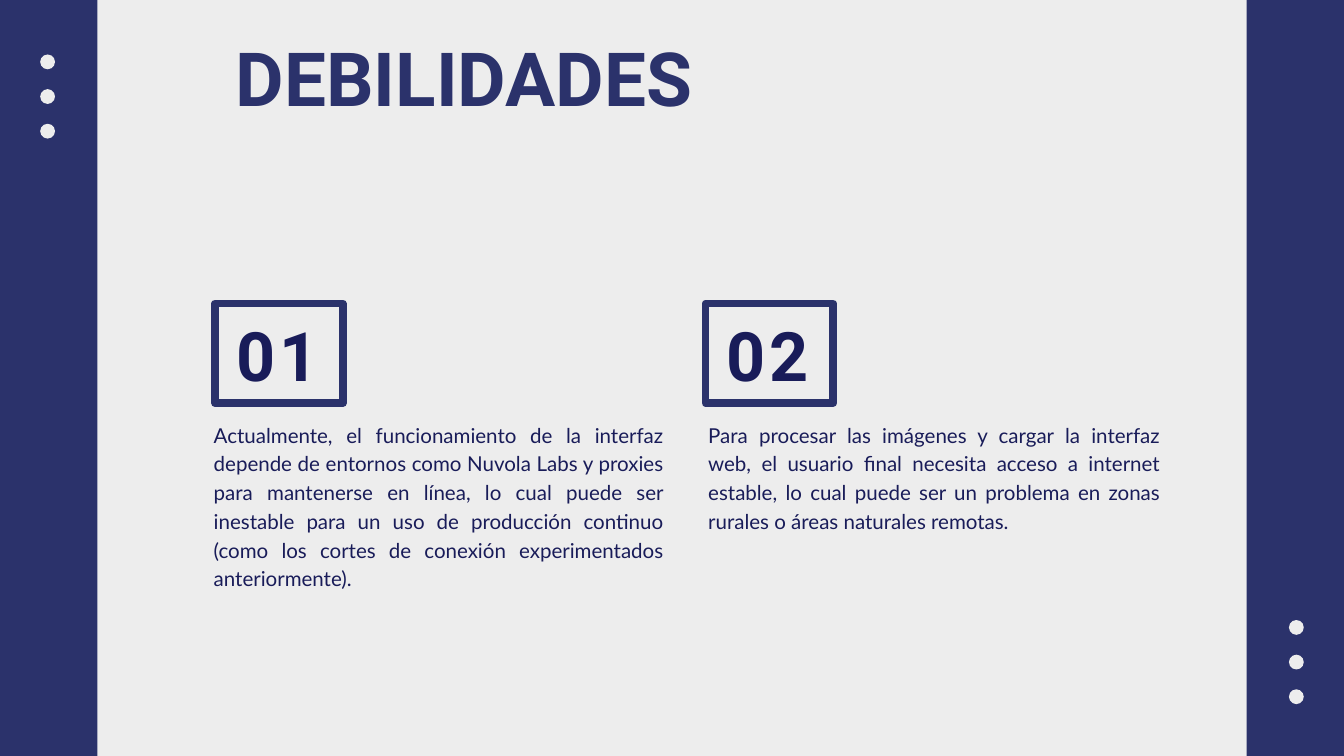
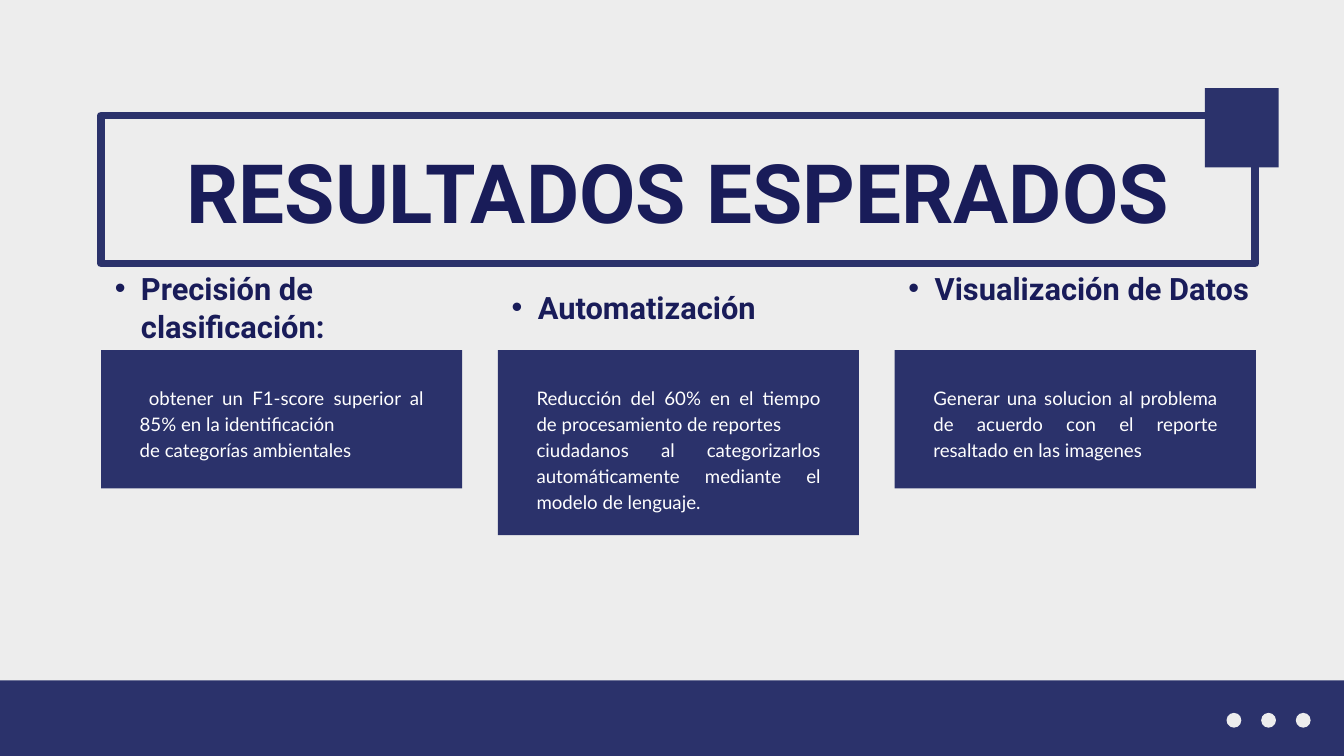
import pptx
import pptx.util
import pptx.dml.color
import pptx.enum.shapes
import pptx.enum.text
import pptx.oxml.ns
import lxml.etree

Cm = pptx.util.Cm
Pt = pptx.util.Pt
RGBColor = pptx.dml.color.RGBColor
ALIGN = pptx.enum.text.PP_ALIGN
SHAPE = pptx.enum.shapes.MSO_SHAPE

NAVY = RGBColor(0x2B, 0x32, 0x6B)
INK = RGBColor(0x19, 0x1C, 0x59)
PAPER = RGBColor(0xED, 0xED, 0xED)
WHITE = RGBColor(0xFF, 0xFF, 0xFF)

SLIDE_W, SLIDE_H = 50.8, 28.58
DOT_SIZE, DOT_STEP = 0.56, 1.31
FRAME_LINE = Pt(8.25)


def text_style(name, size, spacing, alignment, color=INK, bold=False):
    return {
        "font": {"name": name, "size": Pt(size), "bold": bold},
        "paragraph": {"alignment": alignment, "line_spacing": Pt(spacing)},
        "color": color,
    }


SIDE_TITLE = text_style("Roboto", 80, 98.4, ALIGN.CENTER, NAVY, True)
FRAMED_TITLE = text_style("Roboto", 87.7, 107.9, ALIGN.CENTER, bold=True)
NUMBER = text_style("Roboto", 73.1, 89.9, ALIGN.CENTER, bold=True)
HEADING = text_style("Roboto", 33, 40.6, ALIGN.LEFT, bold=True)
WEAKNESS = text_style("Lato", 22, 30.8, ALIGN.JUSTIFY)
CARD_TEXT = text_style("Lato", 20, 28, ALIGN.JUSTIFY, WHITE)

# Left, width and height of each explanation, then its wording
WEAKNESSES = [
    (8.08, 16.99, 6.48,
     "Actualmente, el funcionamiento de la interfaz depende de entornos como "
     "Nuvola Labs y proxies para mantenerse en línea, lo cual puede ser "
     "inestable para un uso de producción continuo (como los cortes de "
     "conexión experimentados anteriormente)."),
    (26.77, 17.07, 4.29,
     "Para procesar las imágenes y cargar la interfaz web, el usuario final "
     "necesita acceso a internet estable, lo cual puede ser un problema en "
     "zonas rurales o áreas naturales remotas."),
]

# Heading, heading top and height, card height, text height, paragraphs
RESULTS = [
    ("Precisión de clasificación:", 10.16, 2.84, 5.22, 2.92,
     [" obtener un F1-score superior al 85% en la identificación",
      "de categorías ambientales"]),
    ("Automatización", 10.87, 1.42, 6.99, 4.88,
     ["Reducción del 60% en el tiempo de procesamiento de reportes",
      "ciudadanos al categorizarlos automáticamente mediante el modelo de "
      "lenguaje."]),
    ("Visualización de Datos", 10.16, 2.84, 5.22, 2.92,
     ["Generar una solucion al problema de acuerdo con el reporte resaltado "
      "en las imagenes"]),
]


def apply(target, values):
    for attribute, value in values.items():
        setattr(target, attribute, value)


def add_slide(deck):
    slide = deck.slides.add_slide(deck.slide_layouts[6])
    slide.background.fill.solid()
    slide.background.fill.fore_color.rgb = PAPER
    return slide


def add_block(slide, left, top, width, height, color=NAVY, kind=SHAPE.RECTANGLE):
    block = slide.shapes.add_shape(kind, Cm(left), Cm(top), Cm(width), Cm(height))
    block.shadow.inherit = False
    block.fill.solid()
    block.fill.fore_color.rgb = color
    block.line.fill.background()


def add_frame(slide, left, top, width, height):
    frame = slide.shapes.add_shape(
        SHAPE.RECTANGLE, Cm(left), Cm(top), Cm(width), Cm(height))
    frame.shadow.inherit = False
    frame.fill.background()
    frame.line.color.rgb = NAVY
    frame.line.width = FRAME_LINE


def add_dots(slide, left, top, step_x=0, step_y=0):
    for i in range(3):
        add_block(slide, left + i * step_x, top + i * step_y,
                  DOT_SIZE, DOT_SIZE, PAPER, SHAPE.OVAL)


def add_bullet(paragraph):
    paragraph.level = 1
    properties = paragraph._p.get_or_add_pPr()
    properties.set("marL", str(Cm(1.98)))
    properties.set("indent", str(Cm(-0.99)))
    for tag, key, value in (("a:buFont", "typeface", "Arial"),
                            ("a:buChar", "char", "•")):
        lxml.etree.SubElement(properties, pptx.oxml.ns.qn(tag)).set(key, value)


def add_text(slide, left, top, width, height, lines, style,
             bulleted=False, tracking=0):
    """Write one paragraph per line; tracking is letter spacing in points."""
    frame = slide.shapes.add_textbox(
        Cm(left), Cm(top), Cm(width), Cm(height)).text_frame
    apply(frame, {
        "word_wrap": True,
        "auto_size": pptx.enum.text.MSO_AUTO_SIZE.SHAPE_TO_FIT_TEXT,
        "margin_left": 0, "margin_top": 0,
        "margin_right": 0, "margin_bottom": 0,
    })
    for i, line in enumerate(lines):
        paragraph = frame.add_paragraph() if i else frame.paragraphs[0]
        if bulleted:
            add_bullet(paragraph)
        apply(paragraph, style["paragraph"])
        run = paragraph.add_run()
        run.text = line
        apply(run.font, style["font"])
        run.font.color.rgb = style["color"]
        if tracking:
            run._r.get_or_add_rPr().set("spc", str(tracking * 100))


def add_weakness(slide, index, left, width, height, wording):
    frame_left = 8.13 + index * 18.54
    add_frame(slide, frame_left, 11.48, 4.83, 3.76)
    add_text(slide, frame_left - 1.17, 11.76, 7.04, 3.15,
             [f"{index + 1:02}"], NUMBER, tracking=4)
    add_text(slide, left, 15.82, width, height, [wording], WEAKNESS)


def add_result(slide, index, heading, heading_top, heading_height,
               card_height, text_height, lines):
    left = 3.82 + index * 15
    add_block(slide, left, 13.24, 13.65, card_height)
    add_text(slide, left + 1.46, 14.48, 10.74, text_height, lines, CARD_TEXT)
    add_text(slide, left - 0.47, heading_top, 14.12, heading_height,
             [heading], HEADING, bulleted=True)


def build_weaknesses(deck):
    slide = add_slide(deck)
    for index, weakness in enumerate(WEAKNESSES):
        add_weakness(slide, index, *weakness)
    band_width = 3.68
    for left in (0, SLIDE_W - band_width):
        add_block(slide, left, 0, band_width, SLIDE_H)
    for left, top in ((1.52, 2.06), (48.72, 23.44)):
        add_dots(slide, left, top, step_y=DOT_STEP)
    add_text(slide, band_width, 1.12, 27.74, 3.43, ["DEBILIDADES"], SIDE_TITLE)


def build_results(deck):
    slide = add_slide(deck)
    band_height = 2.86
    add_block(slide, 0, SLIDE_H - band_height, SLIDE_W, band_height)
    for index, result in enumerate(RESULTS):
        add_result(slide, index, *result)
    add_frame(slide, 3.81, 4.37, 43.64, 5.59)
    add_text(slide, 3.81, 5.26, 43.64, 3.73,
             ["RESULTADOS ESPERADOS"], FRAMED_TITLE)
    add_block(slide, 45.54, 3.33, 2.79, 3)
    add_dots(slide, 46.36, 26.95, step_x=DOT_STEP)


def main():
    deck = pptx.Presentation()
    apply(deck, {"slide_width": Cm(SLIDE_W), "slide_height": Cm(SLIDE_H)})
    build_weaknesses(deck)
    build_results(deck)
    deck.save("out.pptx")


if __name__ == "__main__":
    main()
